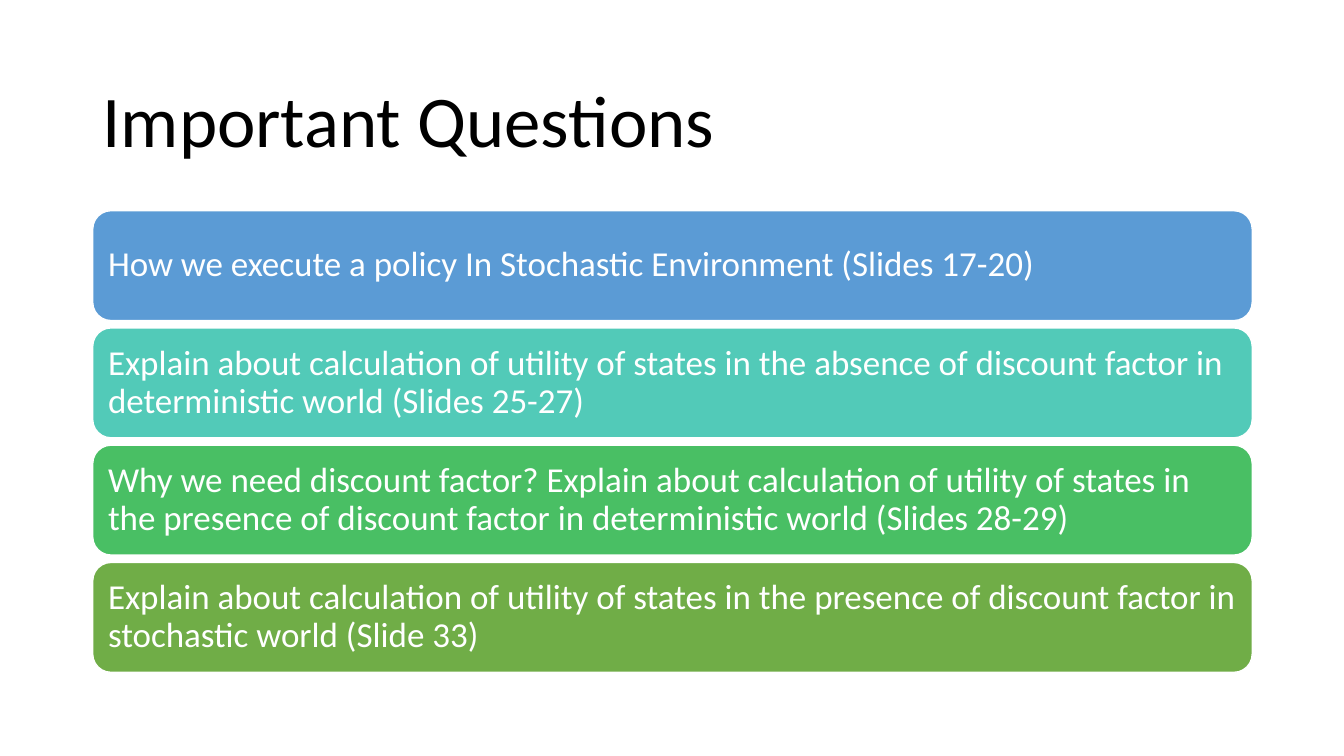
from dataclasses import dataclass

from pptx import Presentation
from pptx.dml.color import RGBColor
from pptx.enum.shapes import MSO_SHAPE
from pptx.enum.text import MSO_ANCHOR, PP_ALIGN
from pptx.util import Inches, Pt

ROUNDED = MSO_SHAPE.ROUNDED_RECTANGLE
MIDDLE = MSO_ANCHOR.MIDDLE
LEFT = PP_ALIGN.LEFT


@dataclass(frozen=True)
class Theme:
    font: str = "Calibri"
    title_size: int = 52
    question_size: int = 25
    black: str = "000000"
    white: str = "FFFFFF"
    cards: tuple = ("5B9BD5", "52CAB8", "49BF64", "70AD47")


class SlideBuilder:
    def __init__(self, slide, theme):
        self.slide = slide
        self.theme = theme

    def set_text(self, sp, text, size, color, margin_y):
        tf = sp.text_frame
        tf.text = text
        tf.word_wrap = True
        tf.vertical_anchor = MIDDLE
        tf.margin_left = tf.margin_right = Inches(0.1)
        tf.margin_top = tf.margin_bottom = Inches(margin_y)
        p = tf.paragraphs[0]
        p.alignment = LEFT
        p.line_spacing = 0.9
        r = p.runs[0]
        r.font.name = self.theme.font
        r.font.size = Pt(size)
        r.font.color.rgb = RGBColor.from_string(color)

    def title(self, text, x, y, w, h):
        sp = self.slide.shapes.add_textbox(Inches(x), Inches(y), Inches(w), Inches(h))
        self.set_text(sp, text, self.theme.title_size, self.theme.black, 0.05)

    def card(self, text, fill, x, y, w, h):
        sp = self.slide.shapes.add_shape(ROUNDED, Inches(x), Inches(y), Inches(w), Inches(h))
        sp.shadow.inherit = False
        sp.fill.solid()
        sp.fill.fore_color.rgb = RGBColor.from_string(fill)
        sp.line.color.rgb = RGBColor.from_string(self.theme.white)
        sp.line.width = Pt(1)
        self.set_text(sp, text, self.theme.question_size, self.theme.white, 0.1)


QUESTIONS = (
    "How we execute a policy In Stochastic Environment (Slides 17-20)",
    "Explain about calculation of utility of states in the absence of discount factor "
    "in deterministic world (Slides 25-27)",
    "Why we need discount factor? Explain about calculation of utility of states in "
    "the presence of discount factor in deterministic world (Slides 28-29)",
    "Explain about calculation of utility of states in the presence of discount factor "
    "in stochastic world (Slide 33)",
)
MARGIN_X, CONTENT_W = 0.92, 11.5
CARD_TOP, CARD_BOTTOM, CARD_H = 2.09, 6.67, 1.09
CARD_PITCH = (CARD_BOTTOM - CARD_TOP - CARD_H) / (len(QUESTIONS) - 1)


def main():
    prs = Presentation()
    prs.slide_width = Inches(13.33)
    prs.slide_height = Inches(7.5)
    theme = Theme()
    s = SlideBuilder(prs.slides.add_slide(prs.slide_layouts[6]), theme)
    s.title("Important Questions", MARGIN_X, 0.61, CONTENT_W, 1.24)
    for i, (question, fill) in enumerate(zip(QUESTIONS, theme.cards)):
        s.card(question, fill, MARGIN_X, CARD_TOP + i * CARD_PITCH, CONTENT_W, CARD_H)
    prs.save("out.pptx")


if __name__ == "__main__":
    main()
